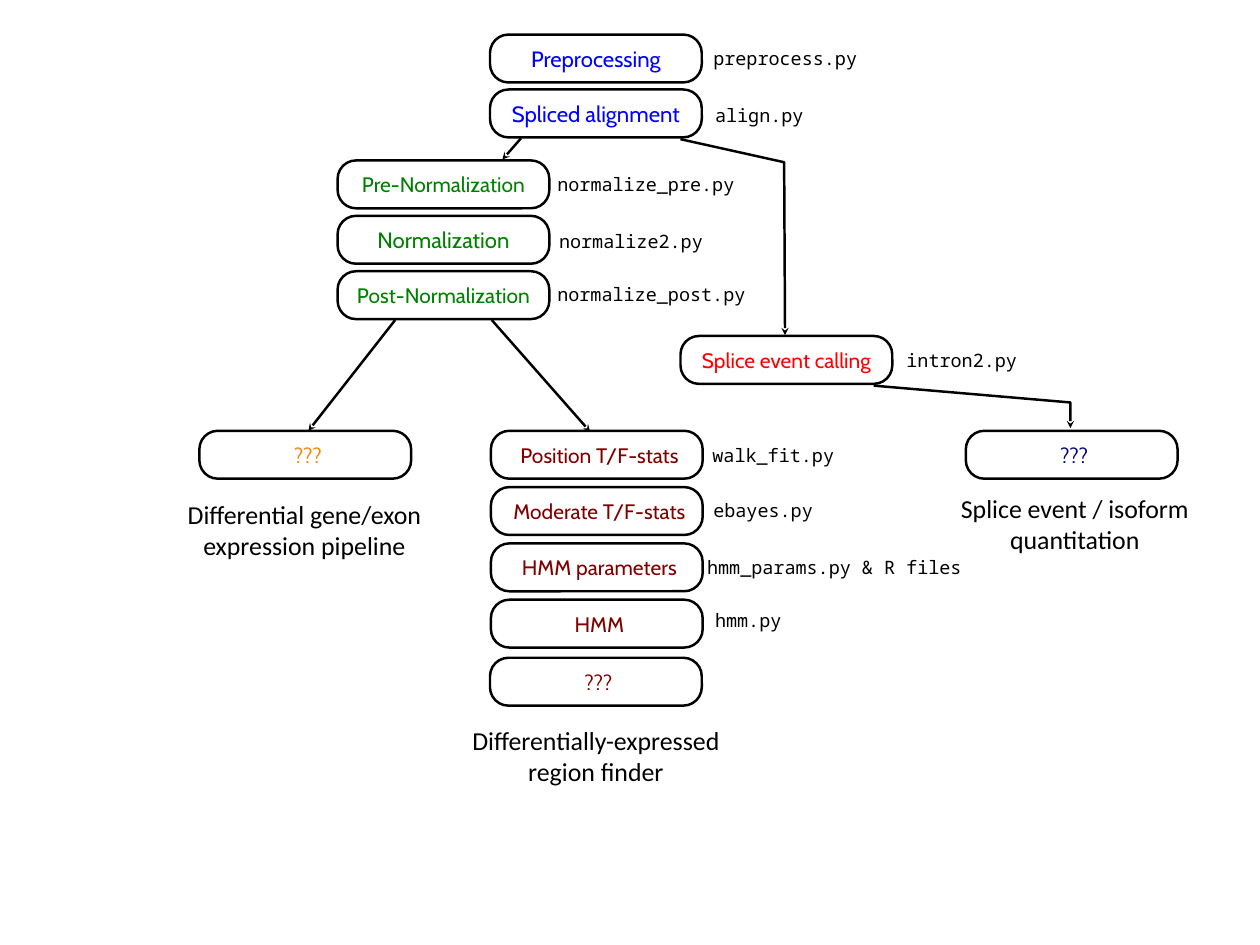
import pptx
import pptx.dml.color
import pptx.enum.shapes
import pptx.enum.text
import pptx.oxml
import pptx.oxml.ns
import pptx.util

Inches = pptx.util.Inches
MIDDLE = pptx.enum.text.MSO_ANCHOR.MIDDLE
CENTER = pptx.enum.text.PP_ALIGN.CENTER
LEFT = pptx.enum.text.PP_ALIGN.LEFT

COLORS = {
    "black": "000000",
    "blue": "0000FF",
    "green": "008000",
    "red": "FF0000",
    "maroon": "800000",
    "orange": "FF8000",
    "navy": "000080",
}
STAGE_WIDTH, STAGE_HEIGHT = 2.39, 0.54

# Each stack: left, top, pitch, colour, left inset, stages (name, text size)
STACKS = [
    (5.53, 0.39, 0.62, "blue", 0, [("Preprocessing", 18), ("Spliced alignment", 18)]),
    (3.81, 1.81, 0.625, "green", 0,
     [("Pre-Normalization", 17), ("Normalization", 18), ("Post-Normalization", 17)]),
    (7.68, 3.79, 0, "red", 0, [("Splice event calling", 17)]),
    (2.25, 4.86, 0, "orange", 0.06, [("???", 17)]),
    (5.54, 4.86, 0.635, "maroon", 0.06,
     [("Position T/F-stats", 17), ("Moderate T/F-stats", 17),
      ("HMM parameters", 17), ("HMM", 17)]),
    (5.53, 7.42, 0, "maroon", 0.06, [("???", 17)]),
    (10.9, 4.86, 0, "navy", 0.06, [("???", 17)]),
]

# Script name, left, top, width
SCRIPTS = [
    ("preprocess.py", 8.05, 0.53, 1.63),
    ("align.py", 8.07, 1.17, 1),
    ("normalize_pre.py", 6.29, 1.95, 2.01),
    ("normalize2.py", 6.31, 2.59, 1.63),
    ("normalize_post.py", 6.29, 3.19, 2.13),
    ("intron2.py", 10.23, 3.94, 1.26),
    ("walk_fit.py", 8.04, 5.01, 1.38),
    ("ebayes.py", 8.05, 5.63, 1.13),
    ("hmm_params.py & R files", 7.98, 6.27, 2.89),
    ("hmm.py", 8.07, 6.87, 0.75),
]

# Pipeline name, left, top, width
PIPELINES = [
    ("Differential gene/exon expression pipeline", 2.01, 5.6, 2.85),
    ("Differentially-expressed region finder", 5.15, 8.15, 3.15),
    ("Splice event / isoform quantitation", 10.75, 5.53, 2.76),
]

# Start and tip of each straight arrow
STRAIGHT_ARROWS = [
    ((5.88, 1.56), (5.67, 1.8)),
    ((4.46, 3.61), (3.48, 4.86)),
    ((5.55, 3.61), (6.66, 4.87)),
]
BENT_ARROWS = [
    [(7.68, 1.57), (8.85, 1.83), (8.86, 3.78)],
    [(9.86, 4.35), (12.08, 4.54), (12.08, 4.83)],
]


def color(name):
    return pptx.dml.color.RGBColor.from_string(COLORS[name])


def write_text(shape, text, *, font, size, ink="black", align=CENTER, wrap=True, inset=0):
    frame = shape.text_frame
    frame.margin_left = Inches(inset)
    frame.margin_right = frame.margin_top = frame.margin_bottom = Inches(0)
    frame.vertical_anchor = MIDDLE
    frame.word_wrap = wrap
    para = frame.paragraphs[0]
    para.alignment = align
    span = para.add_run()
    span.text = text
    span.font.name = font
    span.font.size = pptx.util.Pt(size)
    span.font.color.rgb = color(ink)


def style_line(line):
    line.color.rgb = color("black")
    line.width = pptx.util.Pt(2)


def add_stage(page, name, left, top, size, ink, inset):
    box = page.shapes.add_shape(
        pptx.enum.shapes.MSO_SHAPE.ROUNDED_RECTANGLE,
        Inches(left), Inches(top), Inches(STAGE_WIDTH), Inches(STAGE_HEIGHT))
    box.adjustments[0] = 0.385
    box.shadow.inherit = False
    box.fill.background()
    style_line(box.line)
    write_text(box, name, font="Cabin", size=size, ink=ink, inset=inset)


def add_label(page, text, left, top, width, height, **text_format):
    box = page.shapes.add_textbox(
        Inches(left), Inches(top), Inches(width), Inches(height))
    write_text(box, text, **text_format)


def add_arrowhead(line):
    style_line(line)
    tip = pptx.oxml.parse_xml(
        f'<a:tailEnd {pptx.oxml.ns.nsdecls("a")} type="stealth"/>')
    line._get_or_add_ln().append(tip)


def add_straight_arrow(page, start, tip):
    arrow = page.shapes.add_connector(
        pptx.enum.shapes.MSO_CONNECTOR.STRAIGHT,
        *[Inches(value) for value in start + tip])
    add_arrowhead(arrow.line)
    arrow._element.spPr.append(
        pptx.oxml.parse_xml(f'<a:effectLst {pptx.oxml.ns.nsdecls("a")}/>'))


def add_bent_arrow(page, points):
    start, *corners = [(Inches(x), Inches(y)) for x, y in points]
    builder = page.shapes.build_freeform(*start)
    builder.add_line_segments(corners, close=False)
    arrow = builder.convert_to_shape()
    arrow.shadow.inherit = False
    arrow.fill.background()
    add_arrowhead(arrow.line)


def main():
    deck = pptx.Presentation()
    deck.slide_width, deck.slide_height = Inches(14.22), Inches(10.66)
    page = deck.slides.add_slide(deck.slide_layouts[6])

    # Stages of the pipelines
    for left, top, pitch, ink, inset, stages in STACKS:
        for row, (name, size) in enumerate(stages):
            add_stage(page, name, left, top + row * pitch, size, ink, inset)

    # Arrows between stages
    for start, tip in STRAIGHT_ARROWS:
        add_straight_arrow(page, start, tip)
    for points in BENT_ARROWS:
        add_bent_arrow(page, points)

    # Script names and pipeline captions
    for name, left, top, width in SCRIPTS:
        add_label(page, name, left, top, width, 0.25,
                  font="Noto Sans Mono", size=15, align=LEFT, wrap=False)
    for name, left, top, width in PIPELINES:
        add_label(page, name, left, top, width, 0.75, font="Calibri", size=21)

    deck.save("out.pptx")


if __name__ == "__main__":
    main()
